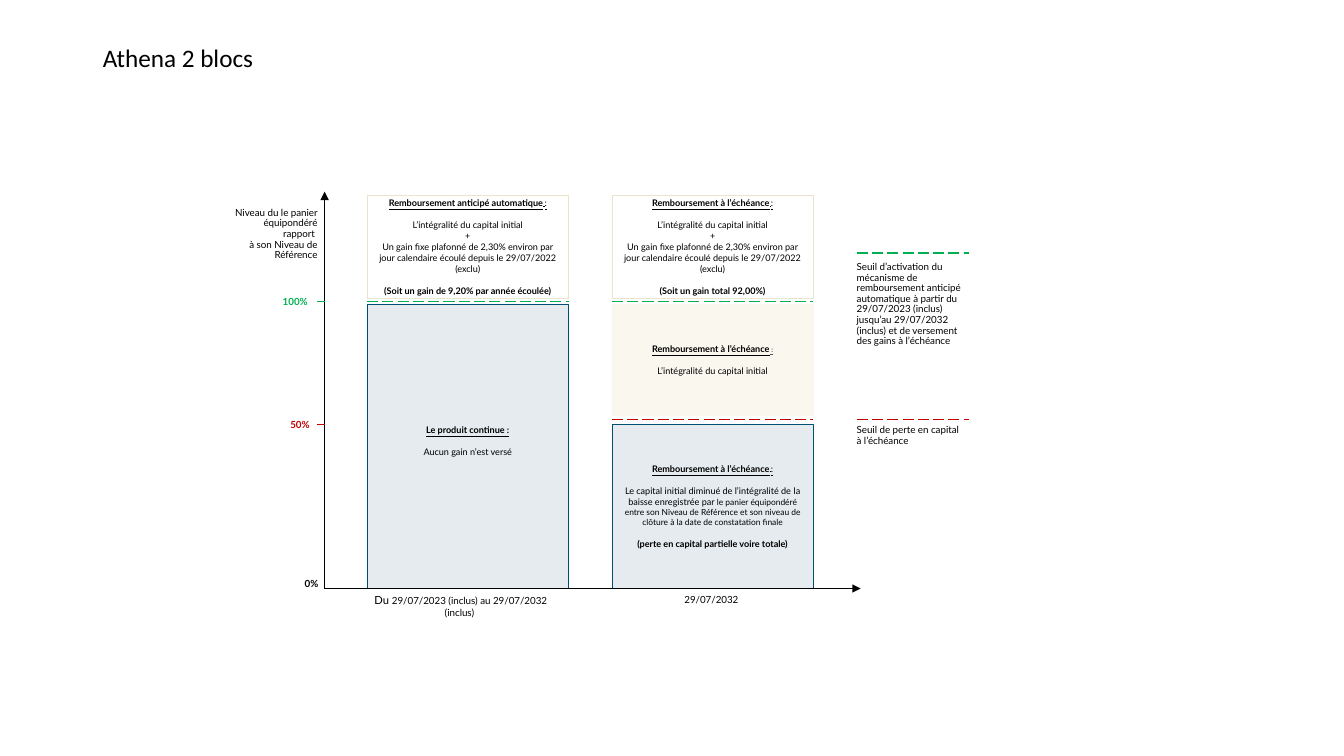
from dataclasses import dataclass

from lxml.etree import SubElement
from pptx import Presentation
from pptx.dml.color import RGBColor
from pptx.enum.dml import MSO_LINE_DASH_STYLE as Dash
from pptx.enum.shapes import MSO_CONNECTOR as Connector, MSO_SHAPE as Preset
from pptx.enum.text import MSO_ANCHOR as Anchor, MSO_AUTO_SIZE as AutoSize, PP_ALIGN as Align
from pptx.oxml.ns import qn
from pptx.util import Cm, Pt


@dataclass(frozen=True)
class Theme:
    font: str = "Lato"
    title_font: str = "Calibri"
    black: str = "000000"
    white: str = "FFFFFF"
    green: str = "00B050"
    red: str = "C00000"
    slate: str = "44546A"
    blue: str = "004F74"
    pale_blue: str = "E5EBEF"
    sand: str = "EBE4CC"
    pale_sand: str = "F9F7EE"
    title_size: float = 18
    lead_size: float = 8
    label_size: float = 7
    block_size: float = 6.5
    small_size: float = 6
    colon_size: float = 5
    gap: float = 7.8


class Board:
    """Holds the theme and the current slide."""

    def __init__(self, slide, theme):
        self.slide, self.theme = slide, theme

    def fill_text(self, shape, paragraphs, size, align, color=None, font=None,
                  insets=(0.25, 0.13, 0.25, 0.13), anchor=Anchor.TOP,
                  auto_size=AutoSize.SHAPE_TO_FIT_TEXT, **paragraph_format):
        """Each paragraph is a list of (text, run format) pairs."""
        frame = shape.text_frame
        left, top, right, bottom = map(Cm, insets)
        settings = dict(word_wrap=True, auto_size=auto_size, vertical_anchor=anchor,
                        margin_left=left, margin_top=top,
                        margin_right=right, margin_bottom=bottom)
        for name, value in settings.items():
            setattr(frame, name, value)
        for index, runs in enumerate(paragraphs):
            paragraph = frame.add_paragraph() if index else frame.paragraphs[0]
            values = dict(alignment=align, space_before=Pt(0), **paragraph_format)
            if "gap" in runs[0][1]:
                values["space_before"] = Pt(self.theme.gap)
            for name, value in values.items():
                setattr(paragraph, name, value)
            for text, style in runs:
                self.add_run(paragraph, text, {
                    "size": size, "color": color or self.theme.black,
                    "name": font or self.theme.font, **style})

    def add_run(self, paragraph, text, style):
        for index, line in enumerate(text.split("\n")):
            if index:
                paragraph.add_line_break()
            run = paragraph.add_run()
            run.text = line
            values = dict(name=style["name"], size=Pt(style["size"]),
                          bold=style.get("bold", False),
                          underline=style.get("underline", False))
            for name, value in values.items():
                setattr(run.font, name, value)
            run.font.color.rgb = RGBColor.from_string(style["color"])
            if "baseline" in style:
                run.font._element.set("baseline", style["baseline"])

    def title(self, text, box):
        shape = self.slide.shapes.title
        for name, value in zip(("left", "top", "width", "height"), map(Cm, box)):
            setattr(shape, name, value)
        self.fill_text(shape, [[(text, {})]], self.theme.title_size, Align.LEFT,
                       font=self.theme.title_font)

    def label(self, paragraphs, box, align=Align.CENTER, **options):
        shape = self.slide.shapes.add_textbox(*map(Cm, box))
        self.fill_text(shape, paragraphs, self.theme.label_size, align, **options)

    def block(self, paragraphs, box, fill, outline, insets=(0.3, 0.13, 0.3, 0.13)):
        shape = self.slide.shapes.add_shape(Preset.RECTANGLE, *map(Cm, box))
        shape.shadow.inherit = False
        shape.fill.solid()
        shape.fill.fore_color.rgb = RGBColor.from_string(fill)
        shape.line.color.rgb = RGBColor.from_string(outline)
        shape.line.width = Pt(0.25)
        self.fill_text(shape, paragraphs, self.theme.block_size, Align.CENTER,
                       insets=insets, anchor=Anchor.MIDDLE, auto_size=AutoSize.NONE)

    def line(self, start, end, color, width=1, dash=None, arrow=False):
        connector = self.slide.shapes.add_connector(
            Connector.STRAIGHT, *map(Cm, (*start, *end)))
        connector.line.color.rgb = RGBColor.from_string(color)
        connector.line.width = Pt(width)
        if dash:
            connector.line.dash_style = dash
        properties = connector._element.spPr
        if arrow:
            SubElement(properties.find(qn("a:ln")), qn("a:tailEnd"), type="triangle")
        SubElement(properties, qn("a:effectLst"))


theme = Theme()
presentation = Presentation()
presentation.slide_width, presentation.slide_height = Cm(33.87), Cm(19.05)
board = Board(presentation.slides.add_slide(presentation.slide_layouts[5]), theme)

# Chart geometry
AXIS_X, AXIS_Y = 8.18, 14.83
EARLY_X, FINAL_X, COLUMN_W = 9.25, 15.42, 5.08
LEGEND_X, LEGEND_W = 21.59, 2.82
GAIN_Y, LOSS_Y, LOSS_TICK_Y = 7.59, 10.57, 10.69
TOP_Y, TOP_H, LOWER_Y = 4.93, 2.59, 7.67

# Recurring run formats and wording
HEADING = dict(bold=True, underline=True)
GAP = dict(gap=True)
STRONG = dict(bold=True, gap=True)
AT_MATURITY = "Remboursement à l’échéance"
CAPITAL = "L’intégralité du capital initial"
GAIN = (CAPITAL + "\n+\nUn gain fixe plafonné de 2,30% environ par jour calendaire "
        "écoulé depuis le 29/07/2022 (exclu)")


def heading(text):
    return [(text, HEADING), (" ", dict(underline=True, baseline="30000")),
            (":", dict(underline=True))]


board.title("Athena 2 blocs", (2.34, 0.94, 15.8, 1.02))

# Lower blocks
board.block([heading(AT_MATURITY),
             [("Le capital initial diminué de l’intégralité de\u00a0la baisse enregistrée par ", GAP),
              ("le panier équipondéré entre son Niveau de Référence et son niveau de clôture "
               "à la date de constatation finale", dict(size=theme.small_size))],
             [("(perte en capital partielle voire totale)", STRONG)]],
            (FINAL_X, LOSS_TICK_Y, COLUMN_W, AXIS_Y - LOSS_TICK_Y), theme.pale_blue, theme.blue)
board.block([[("Le produit continue :", HEADING)], [("Aucun gain n’est versé", GAP)]],
            (EARLY_X, LOWER_Y, COLUMN_W, AXIS_Y - LOWER_Y), theme.pale_blue, theme.blue,
            insets=(0.3, 0.13, 0.3, 0.41))
board.block([[(AT_MATURITY, HEADING),
              (" :", dict(HEADING, size=theme.colon_size, color=theme.slate))],
             [(CAPITAL, GAP)]],
            (FINAL_X, LOWER_Y, COLUMN_W, 2.79), theme.pale_sand, theme.pale_sand)

# Gain blocks
for left, name, total in (
        (EARLY_X, "Remboursement anticipé automatique", "(Soit un gain de 9,20% par année écoulée)"),
        (FINAL_X, AT_MATURITY, "(Soit un gain total 92,00%)")):
    board.block([heading(name), [(GAIN, GAP)], [(total, STRONG)]],
                (left, TOP_Y, COLUMN_W, TOP_H), theme.white, theme.sand)

# Axes and ticks
for end in ((AXIS_X, 4.83), (21.69, AXIS_Y)):
    board.line((AXIS_X, AXIS_Y), end, theme.black, width=0.75, arrow=True)
for y, color in ((GAIN_Y, theme.green), (LOSS_TICK_Y, theme.red)):
    board.line((AXIS_X - 0.2, y), (AXIS_X, y), color)

# Threshold lines and their legend keys
for left, y, width, color in (
        (EARLY_X, GAIN_Y, COLUMN_W, theme.green), (FINAL_X, GAIN_Y, COLUMN_W, theme.green),
        (FINAL_X, LOSS_Y, COLUMN_W, theme.red),
        (LEGEND_X, 6.38, LEGEND_W, theme.green), (LEGEND_X, LOSS_Y, LEGEND_W, theme.red)):
    board.line((left, y), (left + width, y), color, dash=Dash.LONG_DASH)

# Axis labels
for text, left, top, width, right_inset, color in (
        ("100% ", 7.04, 7.32, 0.86, 0, theme.green),
        ("50% ", 7.16, 10.41, 0.86, 0, theme.red),
        ("0%", 7.44, 14.43, 1.07, 0.25, theme.black)):
    board.label([[(text, dict(bold=True))]], (left, top, width, 0.56), color=color,
                insets=(0, 0.13, right_inset, 0.13))
board.label([[("Niveau du le panier équipondéré rapport ", {})],
             [("à son Niveau de Référence", {})]],
            (5.89, 5.11, 2.11, 1.07), Align.RIGHT, insets=(0, 0.13, 0, 0.13), line_spacing=0.9)
board.label([[("Du ", dict(size=theme.lead_size)),
              ("29/07/2023 (inclus) au 29/07/2032 (inclus) ", {})]], (8.92, AXIS_Y, 5.38, 0.61))
board.label([[("29/07/2032 ", {})]], (FINAL_X, AXIS_Y, COLUMN_W, 0.56))

# Legend texts
for text, top, width, height in (
        ("Seuil d’activation du mécanisme de remboursement anticipé automatique à partir du "
         "29/07/2023 (inclus) jusqu’au 29/07/2032 (inclus) et de versement des gains à "
         "l’échéance", 6.48, 3.43, 2.41),
        ("Seuil de perte en capital à\u00a0l’échéance", 10.59, 3.28, 0.79)):
    board.label([[(text, {})]], (21.34, top, width, height), Align.LEFT, line_spacing=0.9)

presentation.save("out.pptx")
